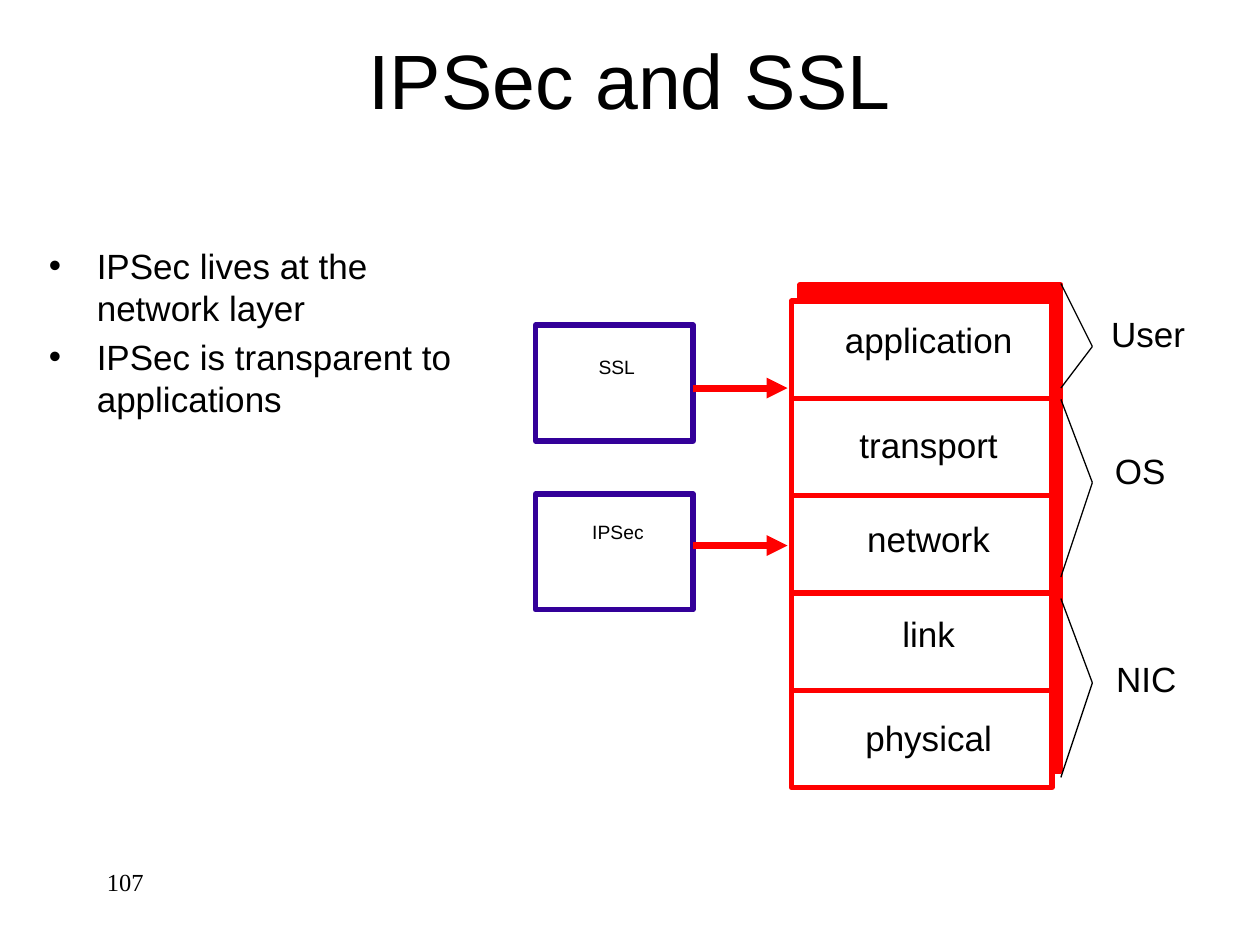
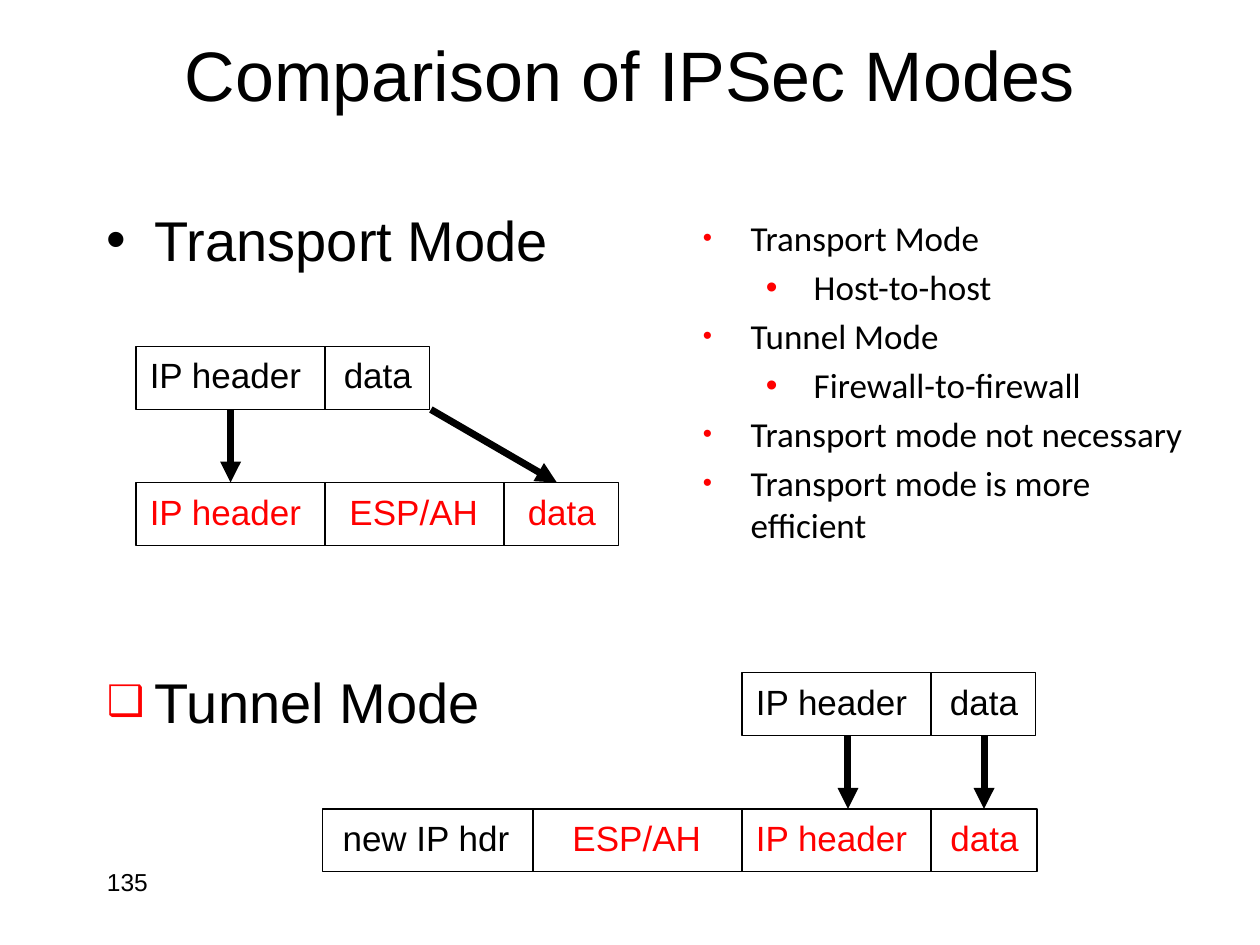
from itertools import accumulate, pairwise

from lxml import etree
from pptx import Presentation, util as u
from pptx.dml import color
from pptx.enum import shapes, text
from pptx.oxml import ns

BLACK, RED, INDIGO, WHITE = "000000", "FF0000", "330099", "FFFFFF"
ALIGN = {"left": text.PP_ALIGN.LEFT, "center": text.PP_ALIGN.CENTER}
THIN, MEDIUM, THICK = 0.75, 3, 4

# Slide 1 content
LAYER_POINTS = ["IPSec lives at the network layer",
                "IPSec is transparent to applications"]
LAYERS = [("application", 2.48), ("transport", 3.31), ("network", 4.06),
          ("link", 4.81), ("physical", 5.64)]  # name, label top
STACK_LEFT, STACK_TOP, STACK_WIDTH, STACK_HEIGHT = 6.28, 2.39, 2.07, 3.86
PROTOCOLS = [  # name, box top, label top, label left, label width, arrow height
    ("SSL", 2.58, 2.77, 4.65, 0.49, 3.08),
    ("IPSec", 3.92, 4.08, 4.6, 0.61, 4.33)]
OWNERS = [  # name, brace top, tip and bottom, label left, top, width
    ("User", (2.25, 2.75, 3.08), (8.72, 2.43, 0.81)),
    ("OS", (3.17, 3.83, 4.58), (8.75, 3.52, 0.61)),
    ("NIC", (4.75, 5.42, 6.17), (8.76, 5.17, 0.69))]

# Slide 2 content
MODE_POINTS = [("Transport Mode", 0), ("Host-to-host", 1),
               ("Tunnel Mode", 0), ("Firewall-to-firewall", 1),
               ("Transport mode not necessary", 0),
               ("Transport mode is more efficient", 0)]
ROW_HEIGHT = 0.5
LABELS = {"IP header": (1.42, -0.03), "data": (0.75, 0.01),
          "ESP/AH": (1.23, 0), "new IP hdr": (1.55, 0)}  # width, shift
PACKETS = [  # left, top, fields (name, width, colour)
    (1.08, 2.75, [("IP header", 1.5, BLACK), ("data", 0.83, BLACK)]),
    (1.08, 3.83, [("IP header", 1.5, RED), ("ESP/AH", 1.42, RED),
                  ("data", 0.91, RED)]),
    (5.89, 5.34, [("IP header", 1.5, BLACK), ("data", 0.83, BLACK)]),
    (2.56, 6.42, [("new IP hdr", 1.67, BLACK), ("ESP/AH", 1.66, RED),
                  ("IP header", 1.5, RED), ("data", 0.84, RED)])]
MOVES = [((1.83, 3.25), (1.83, 3.83)), ((3.42, 3.25), (4.42, 3.83)),
         ((6.73, 5.84), (6.73, 6.42)), ((7.81, 5.84), (7.81, 6.42))]


def rgb(value):
    return color.RGBColor.from_string(value)


def add_bullet(para, char="•", hue=None, percent=None, level=0):
    """Hang a bullet before the paragraph."""
    props = para._p.get_or_add_pPr()
    props.set("marL", str(u.Inches(0.38 + 0.5 * level)))
    props.set("indent", str(u.Inches(-0.38)))
    if hue:
        holder = etree.SubElement(props, ns.qn("a:buClr"))
        etree.SubElement(holder, ns.qn("a:srgbClr"), val=hue)
    if percent:
        etree.SubElement(props, ns.qn("a:buSzPct"), val=str(percent * 1000))
    etree.SubElement(props, ns.qn("a:buFont"), typeface="Arial")
    etree.SubElement(props, ns.qn("a:buChar"), char=char)


def add_text(page, lines, left, top, width, height=0.44, *, size=20,
             font="Arial", hue=BLACK, align="left", wrap=True, middle=False,
             before=0, bullets=None):
    """Add a text box; bullets holds one dict of bullet options per line."""
    box = page.shapes.add_textbox(*map(u.Inches, (left, top, width, height)))
    frame = box.text_frame
    frame.word_wrap = wrap
    frame.vertical_anchor = (text.MSO_ANCHOR.MIDDLE if middle
                             else text.MSO_ANCHOR.TOP)
    lines = [lines] if isinstance(lines, str) else lines
    for index, line in enumerate(lines):
        para = frame.add_paragraph() if index else frame.paragraphs[0]
        para.alignment = ALIGN[align]
        para.space_before = u.Pt(before)
        if bullets:
            para.level = bullets[index].get("level", 0)
            add_bullet(para, **bullets[index])
        span = para.add_run()
        span.text = line
        span.font.name, span.font.size = font, u.Pt(size)
        span.font.color.rgb = rgb(hue)


def add_box(page, left, top, width, height, hue=BLACK, weight=THIN, fill=None):
    box = page.shapes.add_shape(shapes.MSO_SHAPE.RECTANGLE,
                                *map(u.Inches, (left, top, width, height)))
    box.shadow.inherit = False
    if fill:
        box.fill.solid()
        box.fill.fore_color.rgb = rgb(fill)
    else:
        box.fill.background()
    box.line.color.rgb, box.line.width = rgb(hue), u.Pt(weight)


def add_line(page, start, end, hue=BLACK, weight=THIN, arrow=False):
    line = page.shapes.add_connector(shapes.MSO_CONNECTOR.STRAIGHT,
                                     *map(u.Inches, (*start, *end)))
    line.line.color.rgb, line.line.width = rgb(hue), u.Pt(weight)
    if arrow:
        etree.SubElement(line.line._get_or_add_ln(), ns.qn("a:tailEnd"),
                         type="triangle")
    etree.SubElement(line._element.spPr, ns.qn("a:effectLst"))


def add_page(deck, title, number, *, title_top, title_height, title_size,
             number_font):
    """Start a page with its title and page number."""
    page = deck.slides.add_slide(deck.slide_layouts[6])
    add_text(page, number, 0.75, 6.83, 2.08, 0.5, size=14, font=number_font,
             before=7)
    add_text(page, title, 0.75, title_top, 8.5, title_height, size=title_size,
             align="center", middle=True)
    return page


def add_packet(page, left, top, fields):
    """Draw one row of packet fields with dividers between them."""
    edges = list(accumulate((width for _, width, _ in fields), initial=left))
    add_box(page, left, top, edges[-1] - left, ROW_HEIGHT)
    for edge in edges[1:-1]:
        add_line(page, (edge, top), (edge, top + ROW_HEIGHT))
    for (name, _, hue), (start, end) in zip(fields, pairwise(edges)):
        width, shift = LABELS[name]
        add_text(page, name, (start + end - width) / 2 + shift, top + 0.01,
                 width, hue=hue, wrap=False)


def build_layers(deck):
    page = add_page(deck, "IPSec and SSL", "107", title_top=0,
                    title_height=1.25, title_size=44,
                    number_font="Times New Roman")
    add_text(page, LAYER_POINTS, 0.29, 1.89, 3.6, 4.67, before=4,
             bullets=[{}] * len(LAYER_POINTS))
    # Protocol boxes pointing at the stack
    for name, top, label_top, label_left, label_width, height in PROTOCOLS:
        add_box(page, 4.25, top, 1.25, 0.92, INDIGO, MEDIUM)
        add_line(page, (5.5, height), (6.25, height), RED, THICK, arrow=True)
        add_text(page, name, label_left, label_top, label_width, 0.29,
                 size=11, align="center", wrap=False)
    # Layer stack with its offset backing
    for shift_x, shift_y, fill in ((0.07, -0.13, RED), (0, 0, WHITE)):
        add_box(page, STACK_LEFT + shift_x, STACK_TOP + shift_y, STACK_WIDTH,
                STACK_HEIGHT, RED, MEDIUM, fill)
    for index, (name, label_top) in enumerate(LAYERS):
        if index:
            height = STACK_TOP + STACK_HEIGHT * index / len(LAYERS)
            add_line(page, (STACK_LEFT, height),
                     (STACK_LEFT + STACK_WIDTH, height), RED, MEDIUM)
        add_text(page, name, 6.33, label_top, 2.08, align="center")
    # Braces naming who runs each layer
    for name, (top, tip, bottom), (left, label_top, width) in OWNERS:
        add_line(page, (8.42, top), (8.67, tip))
        add_line(page, (8.67, tip), (8.42, bottom))
        add_text(page, name, left, label_top, width, wrap=False)


def build_modes(deck):
    page = add_page(deck, "Comparison of IPSec Modes", "135", title_top=0.08,
                    title_height=1, title_size=40, number_font="Arial")
    # Mode headings
    add_text(page, "Transport Mode", 0.75, 1.58, 4.83, 0.83, size=32,
             before=6.4, bullets=[{}])
    add_text(page, "Tunnel Mode", 0.75, 5.25, 4.33, 0.83, size=32, before=6.4,
             bullets=[{"char": "❑", "hue": RED, "percent": 75}])
    # Packets before and after each mode
    for packet in PACKETS:
        add_packet(page, *packet)
    for start, end in MOVES:
        add_line(page, start, end, weight=THICK, arrow=True)
    # Remarks
    add_text(page, [line for line, _ in MODE_POINTS], 5.48, 1.67, 4.19, 3.27,
             font="Calibri", before=4,
             bullets=[{"hue": RED, "percent": 95 if level else 75,
                       "level": level} for _, level in MODE_POINTS])


def main():
    deck = Presentation()
    deck.slide_width, deck.slide_height = u.Inches(10), u.Inches(7.5)
    build_layers(deck)
    build_modes(deck)
    deck.save("out.pptx")


if __name__ == "__main__":
    main()
